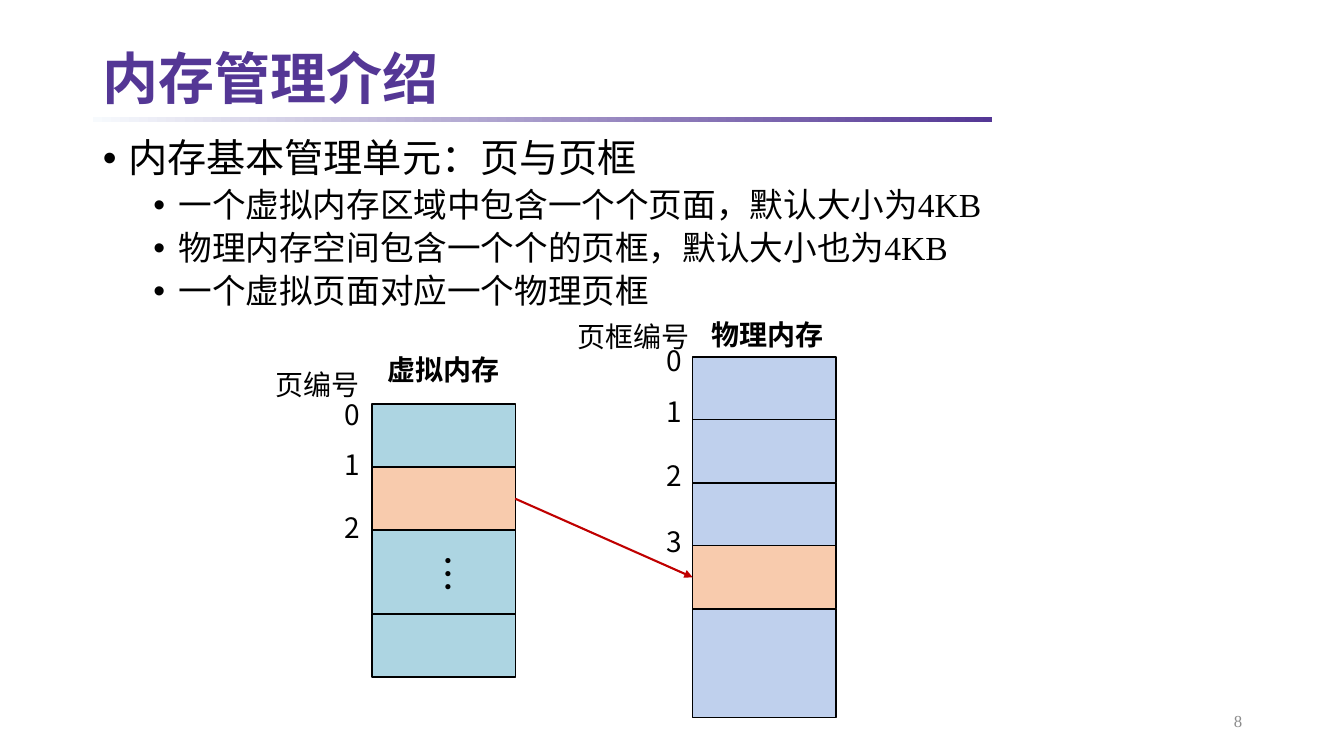
"""Build a slide on pages and page frames in memory management."""
import pptx
import pptx.dml.color
import pptx.enum.dml
import pptx.enum.shapes
import pptx.enum.text
import pptx.util
from lxml import etree
from pptx.oxml.ns import qn

Inches, Pt = pptx.util.Inches, pptx.util.Pt
ALIGN = pptx.enum.text.PP_ALIGN
ANCHOR = pptx.enum.text.MSO_ANCHOR
RECTANGLE = pptx.enum.shapes.MSO_SHAPE.RECTANGLE

SERIF, SANS = "Times New Roman", "Noto Sans CJK SC"
PURPLE, BLACK, ORANGE = "543795", "000000", "F8CBAD"
TEAL, BLUE = "ADD5E2", "BFD0ED"

HEADING = "内存管理介绍"
BULLETS = [
    (0, "内存基本管理单元：页与页框"),
    (1, "一个虚拟内存区域中包含一个个页面，默认大小为4KB"),
    (1, "物理内存空间包含一个个的页框，默认大小也为4KB"),
    (1, "一个虚拟页面对应一个物理页框"),
]
BULLET_LEVELS = [
    {"size": 28, "before": 10, "margin": 0.25},
    {"size": 24, "before": 5, "margin": 0.75},
]
HANGING = 0.25

PAGE, COLUMN_WIDTH, LABEL_HEIGHT, NUMBER_WIDTH = 5 / 8, 1.42, 0.44, 0.54
MEMORIES = [
    {"left": 3.69, "top": 4.01,
     "cells": [(PAGE, TEAL), (PAGE, ORANGE), (0.83, TEAL), (PAGE, TEAL)],
     "name": ("虚拟内存", 3.69, 3.45, COLUMN_WIDTH),
     "caption": ("页编号", 2.61, 3.6, 1.08),
     "number_left": 3.22, "number_tops": [3.89, 4.39, 5.02]},
    {"left": 6.87, "top": 3.54,
     "cells": [(PAGE, BLUE)] * 3 + [(PAGE, ORANGE), (1.08, BLUE)],
     "name": ("物理内存", 6.9, 3.1, COLUMN_WIDTH),
     "caption": ("页框编号", 5.57, 3.12, COLUMN_WIDTH),
     "number_left": 6.42, "number_tops": [3.36, 3.86, 4.5, 5.15]},
]


def color(value):
    return pptx.dml.color.RGBColor.from_string(value)


def put(part, left, top, width, height):
    box = {"left": left, "top": top, "width": width, "height": height}
    for side, length in box.items():
        setattr(part, side, Inches(length))


def write(paragraph, words, size, face, ink=BLACK, bold=False, align=ALIGN.LEFT):
    run = paragraph.add_run()
    run.text = words
    paragraph.alignment = align
    for key, value in {"size": Pt(size), "name": face, "bold": bold}.items():
        setattr(run.font, key, value)
    run.font.color.rgb = color(ink)
    east_asian = etree.SubElement(run.font._element, qn("a:ea"))
    east_asian.set("typeface", SANS)


def label(words, left, top, width, height=LABEL_HEIGHT, size=20, face=SANS,
          ink=BLACK, bold=False, align=ALIGN.CENTER, anchor=ANCHOR.TOP):
    area = slide.shapes.add_textbox(*map(Inches, (left, top, width, height)))
    area.text_frame.word_wrap = True
    area.text_frame.vertical_anchor = anchor
    write(area.text_frame.paragraphs[0], words, size, face, ink, bold, align)
    return area


def rectangle(left, top, width, height):
    block = slide.shapes.add_shape(
        RECTANGLE, *map(Inches, (left, top, width, height)))
    block.shadow.inherit = False
    return block


def draw_memory(memory):
    cells, top = [], memory["top"]
    for height, tint in memory["cells"]:
        cell = rectangle(memory["left"], top, COLUMN_WIDTH, height)
        cell.fill.solid()
        cell.fill.fore_color.rgb = color(tint)
        cell.line.color.rgb = color(BLACK)
        cell.line.width = Pt(1)
        cells.append(cell)
        top += height
    label(*memory["name"], bold=True)
    label(*memory["caption"])
    for number, number_top in enumerate(memory["number_tops"]):
        label(str(number), memory["number_left"], number_top, NUMBER_WIDTH)
    return cells


deck = pptx.Presentation()
deck.slide_width, deck.slide_height = Inches(13.33), Inches(7.5)
slide = deck.slides.add_slide(deck.slide_layouts[1])

rule = rectangle(0.92, 1.16, 8.92, 0.05)
rule.line.fill.background()
rule.fill.gradient()
rule.fill.gradient_angle = 0
for stop, tint in zip(rule.fill.gradient_stops, ("F7FAFD", PURPLE)):
    stop.color.rgb = color(tint)
label("8", 9.42, 6.95, 3, 0.4, size=12, face=SERIF, ink="8C8C8C",
      align=ALIGN.RIGHT, anchor=ANCHOR.MIDDLE)

title, body = slide.shapes.title, slide.placeholders[1]
put(title, 0.92, 0.43, 11.5, 0.75)
put(body, 0.92, 1.33, 10.87, 5.43)
for holder, anchor in ((title, ANCHOR.MIDDLE), (body, ANCHOR.TOP)):
    holder.text_frame.auto_size = pptx.enum.text.MSO_AUTO_SIZE.NONE
    holder.text_frame.vertical_anchor = anchor
title.text_frame.paragraphs[0].line_spacing = 0.9
write(title.text_frame.paragraphs[0], HEADING, 40, SERIF, PURPLE, bold=True)

for index, (level, words) in enumerate(BULLETS):
    look = BULLET_LEVELS[level]
    frame = body.text_frame
    point = frame.add_paragraph() if index else frame.paragraphs[0]
    write(point, words, look["size"], SERIF)
    spacing = {"level": level, "line_spacing": 0.9,
               "space_before": Pt(look["before"]), "space_after": Pt(0)}
    for key, value in spacing.items():
        setattr(point, key, value)
    properties = point._p.get_or_add_pPr()
    properties.set("marL", str(Inches(look["margin"])))
    properties.set("indent", str(-Inches(HANGING)))
    etree.SubElement(properties, qn("a:buFont")).set("typeface", "Arial")
    etree.SubElement(properties, qn("a:buChar")).set("char", "•")

pages, frames = map(draw_memory, MEMORIES)
ellipsis = label("…", 4.07, 5.4, 0.67, 0.57, size=28)
ellipsis.text_frame._txBody.bodyPr.set("vert", "eaVert")

mapping = slide.shapes.add_connector(
    pptx.enum.shapes.MSO_CONNECTOR.STRAIGHT, 0, 0, 0, 0)
mapping.begin_connect(pages[1], 3)
mapping.end_connect(frames[3], 1)
mapping.line.color.rgb = color("C00000")
mapping.line.width = Pt(1.5)
arrowhead = etree.SubElement(mapping.line._get_or_add_ln(), qn("a:tailEnd"))
arrowhead.set("type", "triangle")
etree.SubElement(mapping._element.spPr, qn("a:effectLst"))

deck.save("out.pptx")
